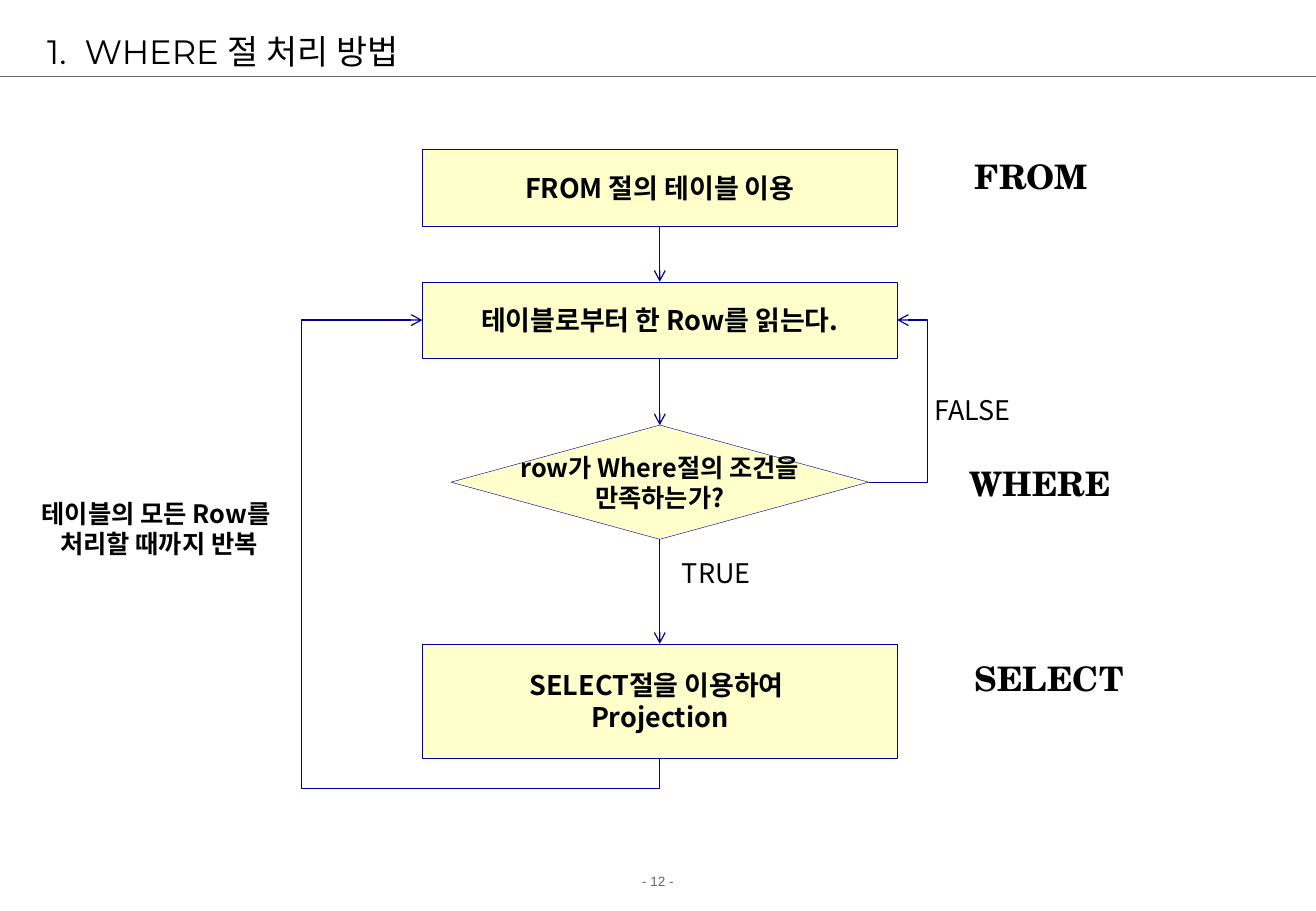
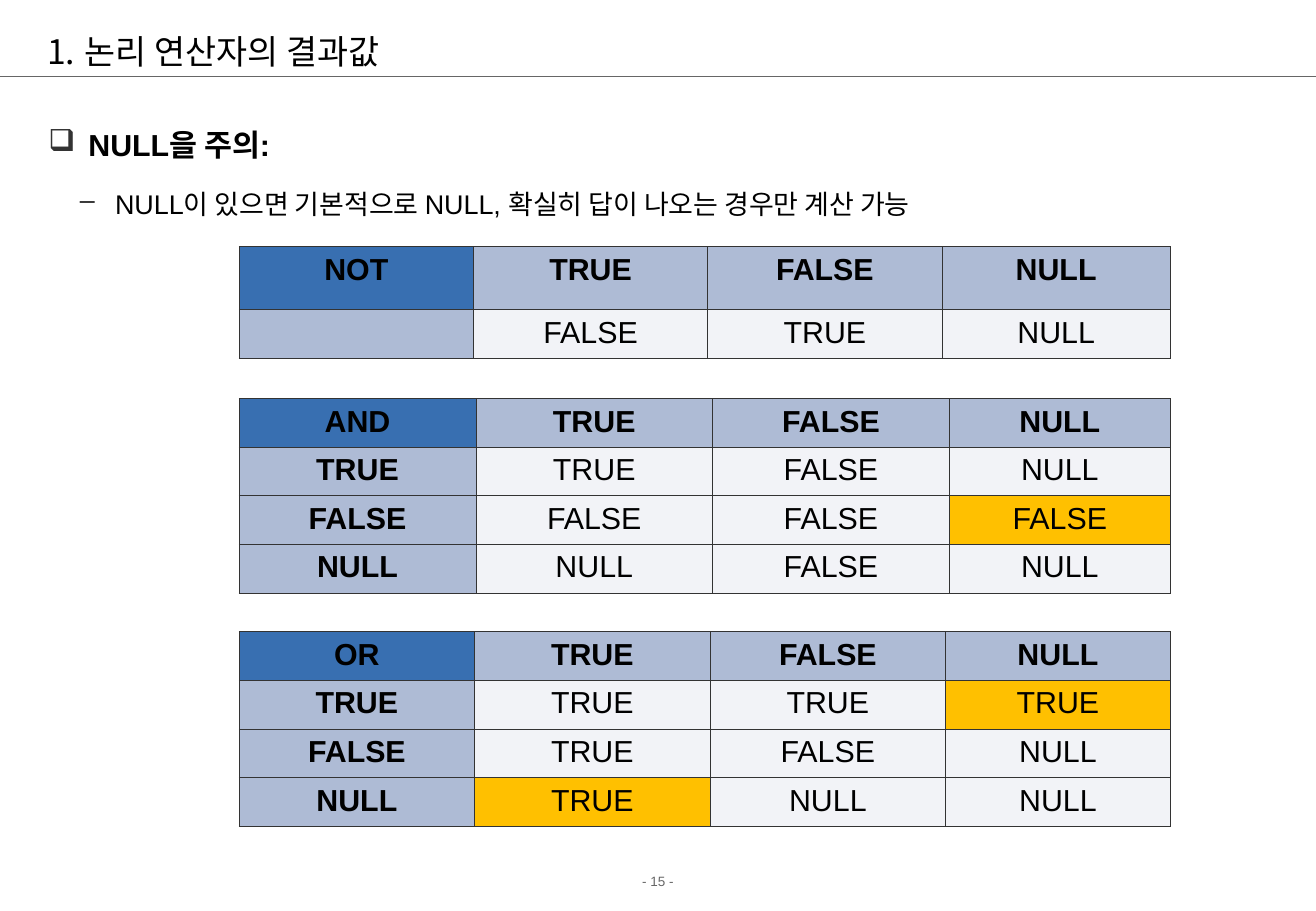
from lxml.etree import SubElement
from pptx import Presentation
from pptx.dml.color import RGBColor
from pptx.enum.shapes import MSO_CONNECTOR, MSO_SHAPE
from pptx.enum.text import MSO_ANCHOR, PP_ALIGN
from pptx.oxml.ns import qn
from pptx.util import Inches, Pt

BLACK = RGBColor(0x00, 0x00, 0x00)
GRAY = RGBColor(0x66, 0x66, 0x66)
DARK_GRAY = RGBColor(0x33, 0x33, 0x33)
NAVY = RGBColor(0x00, 0x00, 0x99)
CREAM = RGBColor(0xFF, 0xFF, 0xCC)
BLUE = RGBColor(0x38, 0x6F, 0xB1)
LIGHT_BLUE = RGBColor(0xAE, 0xBB, 0xD5)
PALE = RGBColor(0xF2, 0xF3, 0xF7)
AMBER = RGBColor(0xFF, 0xC0, 0x00)

KOREAN = "Noto Sans CJK KR"

# The slide is a grid of 108.4 columns by 75 rows
COLUMNS, ROWS = 108.4, 75
UNIT = 0.1
TOP, LEFT, BOTTOM, RIGHT = range(4)

# Text styles
TITLE = {"name": "Montserrat", "size": Pt(20), "bold": False}
FOOTER = {"name": "Arial", "size": Pt(8), "bold": False}
STEP = {"name": KOREAN, "size": Pt(16), "bold": True}
NOTE = {"name": KOREAN, "size": Pt(15), "bold": True}
BRANCH = {"name": KOREAN, "size": Pt(16), "bold": False}
CLAUSE = {"name": "TeX Gyre Schola", "size": Pt(20), "bold": True}
HEADING = {"name": "Arial", "size": Pt(18), "bold": True}
VALUE = {"name": "Arial", "size": Pt(18), "bold": False}
DETAIL = {"name": "Arial", "size": Pt(16), "bold": False}


def grid(*cells):
    return [Inches(cell * UNIT) for cell in cells]


class Pages:
    """Holds the deck, its shared style and the current page."""

    def __init__(self):
        self.deck = Presentation()
        self.deck.slide_width, self.deck.slide_height = grid(COLUMNS, ROWS)
        self.page = None

    def start(self, title, number):
        self.page = self.deck.slides.add_slide(self.deck.slide_layouts[6])
        self.text((0, 71.4, COLUMNS, 2.4), f"- {number} -", FOOTER,
                  PP_ALIGN.CENTER, GRAY)
        self.line((0, 6.3), (COLUMNS, 6.3), GRAY)
        box = self.text((2.9, 2.1, 101.7, 4.2), title, TITLE)
        box.text_frame.vertical_anchor = MSO_ANCHOR.MIDDLE
        self.bullet(box.text_frame.paragraphs[0], 3.1, 3.1, BLACK)

    def span(self, para, text, style, color=BLACK):
        span = para.add_run()
        span.text = text
        for name, value in style.items():
            setattr(span.font, name, value)
        span.font.color.rgb = color
        SubElement(span.font._element, qn("a:ea"), typeface=KOREAN)

    def fill_text(self, frame, text, style, align=PP_ALIGN.LEFT, color=BLACK):
        for index, line in enumerate(text.split("\n")):
            para = frame.add_paragraph() if index else frame.paragraphs[0]
            para.alignment = align
            self.span(para, line, style, color)

    def text(self, area, text, style, align=PP_ALIGN.LEFT, color=BLACK):
        box = self.page.shapes.add_textbox(*grid(*area))
        box.text_frame.word_wrap = True
        self.fill_text(box.text_frame, text, style, align, color)
        return box

    def bullet(self, para, margin, hanging, color, mark=None):
        """Number the paragraph, or give it the mark."""
        props = para._p.get_or_add_pPr()
        props.set("marL", str(grid(margin)[0]))
        props.set("indent", str(-grid(hanging)[0]))
        fill = SubElement(props, qn("a:buClr"))
        SubElement(fill, qn("a:srgbClr"), val=str(color))
        if mark:
            SubElement(props, qn("a:buChar"), char=mark)
        else:
            SubElement(props, qn("a:buAutoNum"), type="arabicPeriod")

    def bullets(self, area, items):
        frame = self.page.shapes.add_textbox(*grid(*area)).text_frame
        frame.word_wrap = True
        for index, (text, style, mark, margin, hanging) in enumerate(items):
            para = frame.add_paragraph() if index else frame.paragraphs[0]
            self.bullet(para, margin, hanging, DARK_GRAY, mark)
            para.line_spacing = 1.5
            para.space_before = Pt(5 if index else 0)
            self.span(para, text, style)

    def step(self, area, text, style=STEP, kind=MSO_SHAPE.FLOWCHART_PROCESS):
        box = self.page.shapes.add_shape(kind, *grid(*area))
        box.shadow.inherit = False
        box.fill.solid()
        box.fill.fore_color.rgb = CREAM
        box.line.color.rgb = NAVY
        box.line.width = Pt(0.25)
        frame = box.text_frame
        for side in ("left", "top", "right", "bottom"):
            setattr(frame, f"margin_{side}", 0)
        frame.word_wrap = False
        frame.vertical_anchor = MSO_ANCHOR.MIDDLE
        self.fill_text(frame, text, style, PP_ALIGN.CENTER)
        return box

    def line(self, start, end, color, kind=MSO_CONNECTOR.STRAIGHT):
        line = self.page.shapes.add_connector(kind, *grid(*start, *end))
        line.line.color.rgb = color
        line.line.width = Pt(0.75)
        SubElement(line.element.spPr, qn("a:effectLst"))
        return line

    def arrow(self, source, target, kind=MSO_CONNECTOR.STRAIGHT,
              point="tailEnd"):
        """Join two (box, side) ends, with an arrowhead at one of them."""
        arrow = self.line((0, 0), (0, 0), NAVY, kind)
        arrow.begin_connect(*source)
        arrow.end_connect(*target)
        outline = arrow.element.spPr.find(qn("a:ln"))
        SubElement(outline, qn(f"a:{point}"), type="arrow")
        return arrow

    def elbow(self, source, target, preset, bends, point="tailEnd"):
        """Draw a bent arrow; bends are shares of its width or height."""
        arrow = self.arrow(source, target, MSO_CONNECTOR.ELBOW, point)
        shape = arrow.element.spPr.find(qn("a:prstGeom"))
        shape.set("prst", preset)
        guides = shape.find(qn("a:avLst"))
        if guides is None:
            guides = SubElement(shape, qn("a:avLst"))
        for number, share in enumerate(bends, 1):
            SubElement(guides, qn("a:gd"), name=f"adj{number}",
                       fmla=f"val {round(share * 100000)}")

    def truth_table(self, top, column, rows, marked=(), header=4):
        left, width, height = 19.7, 76.7, 4
        total = header + height * (len(rows) - 1)
        count = len(rows[0])
        table = self.page.shapes.add_table(
            len(rows), count, *grid(left, top, width, total)).table
        table.first_row = table.horz_banding = False
        widths = [column] * (count - 1) + [width - column * (count - 1)]
        for item, size in zip(table.columns, grid(*widths)):
            item.width = size
        for r, values in enumerate(rows):
            table.rows[r].height = grid(height if r else header)[0]
            for c, value in enumerate(values):
                if (r, c) in marked:
                    color = AMBER
                elif r and c:
                    color = PALE
                else:
                    color = LIGHT_BLUE if r or c else BLUE
                self.cell(table.cell(r, c), value, color,
                          VALUE if r and c else HEADING)

    def cell(self, cell, value, color, style):
        props = cell._tc.get_or_add_tcPr()
        for side in ("lnL", "lnR", "lnT", "lnB"):
            border = SubElement(props, qn(f"a:{side}"), w=str(Pt(0.45)))
            fill = SubElement(border, qn("a:solidFill"))
            SubElement(fill, qn("a:srgbClr"), val=str(DARK_GRAY))
        cell.fill.solid()
        cell.fill.fore_color.rgb = color
        if value:
            self.fill_text(cell.text_frame, value, style, PP_ALIGN.CENTER)


def where_page(pages):
    pages.start("WHERE 절 처리 방법", 12)

    # Steps, all centred on one axis
    left, width = 34.8, 39.1
    origin = pages.step((left, 12.3, width, 6.3), "FROM 절의 테이블 이용")
    read = pages.step((left, 23.2, width, 6.3), "테이블로부터 한 Row를 읽는다.")
    check = pages.step((37.15, 35, 34.4, 9.4),
                       "row가 Where절의 조건을\n만족하는가?", NOTE,
                       MSO_SHAPE.FLOWCHART_DECISION)
    select = pages.step((left, 53, width, 9.4),
                        "SELECT절을 이용하여 \nProjection")

    # Flow and loops
    for upper, lower in ((origin, read), (read, check), (check, select)):
        pages.arrow((upper, BOTTOM), (lower, TOP))
    pages.elbow((check, RIGHT), (read, RIGHT), "bentConnector3", [2.06])
    pages.elbow((read, LEFT), (select, BOTTOM), "bentConnector4",
                [-0.51, 1.07], "headEnd")

    # Labels
    pages.text((0.6, 40.5, 25, 6), "테이블의 모든 Row를 \n처리할 때까지 반복",
               NOTE, PP_ALIGN.CENTER)
    for x, y, text in ((46.5, 45.3, "TRUE"), (67.6, 31.9, "FALSE")):
        pages.text((x, y, 25, 3.7), text, BRANCH, PP_ALIGN.CENTER)
    for x, y, text in ((79.3, 12.3, "FROM"), (78.9, 37.6, "WHERE"),
                       (79.3, 53.7, "SELECT")):
        pages.text((x, y, 22.9, 4.4), text, CLAUSE)


def logic_page(pages):
    pages.start("논리 연산자의 결과값", 15)
    pages.bullets((3, 8.4, 101.7, 11), [
        ("NULL을 주의:", HEADING, "❑", 3.3, 3.3),
        ("NULL이 있으면 기본적으로 NULL, 확실히 답이 나오는 경우만 계산 가능",
         DETAIL, "–", 5.5, 2.9),
    ])

    # Truth tables
    true, false, null = values = ("TRUE", "FALSE", "NULL")
    pages.truth_table(20.3, 19.3, [
        ("NOT", *values),
        ("", false, true, null),
    ], header=5.2)
    pages.truth_table(32.8, 19.5, [
        ("AND", *values),
        (true, true, false, null),
        (false, false, false, false),
        (null, null, false, null),
    ], marked={(2, 3)})
    pages.truth_table(52, 19.4, [
        ("OR", *values),
        (true, true, true, true),
        (false, true, false, null),
        (null, true, null, null),
    ], marked={(1, 3), (3, 1)})


def main():
    pages = Pages()
    where_page(pages)
    logic_page(pages)
    pages.deck.save("out.pptx")


if __name__ == "__main__":
    main()
